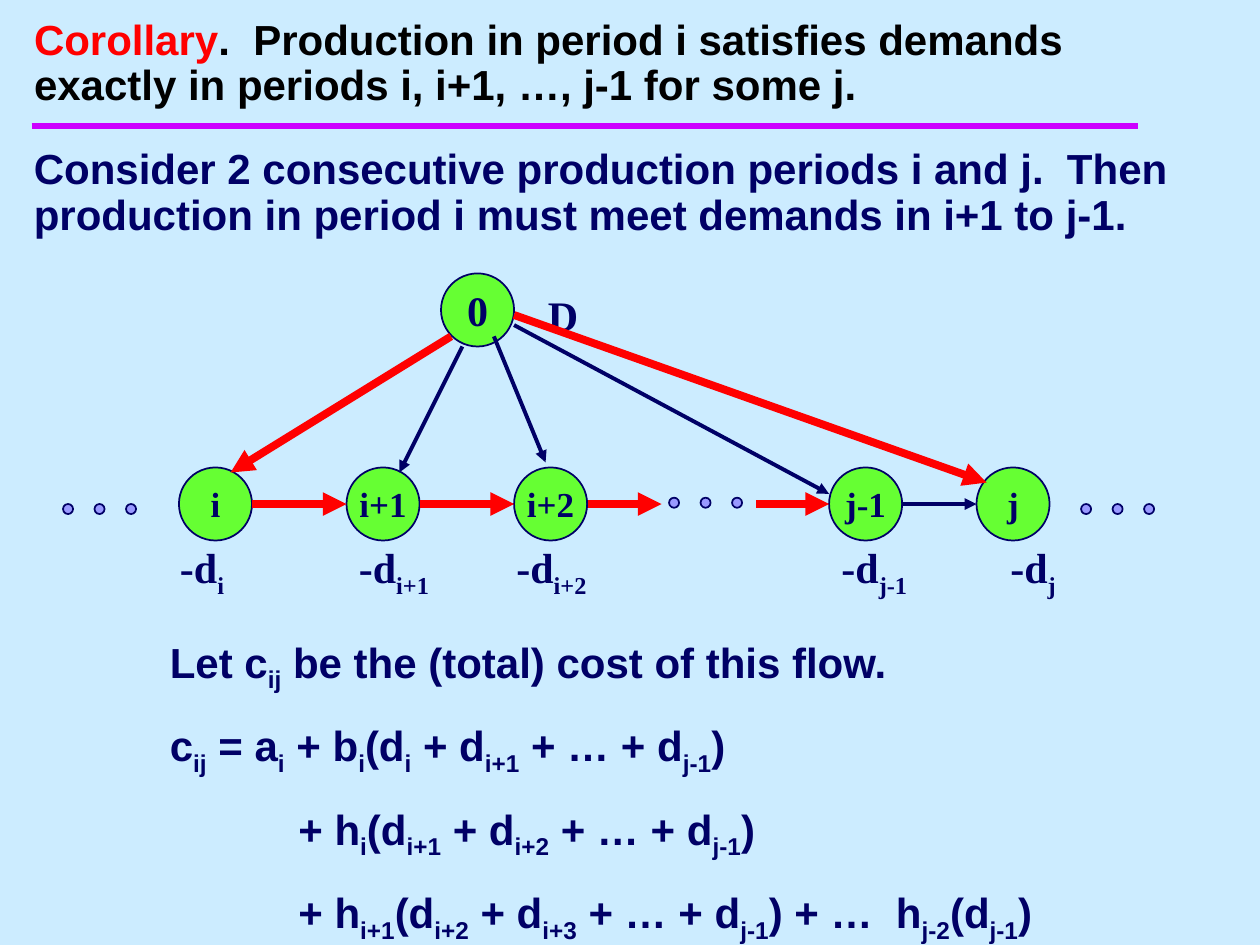
from dataclasses import dataclass

from lxml import etree
from pptx import Presentation
from pptx.dml.color import RGBColor
from pptx.enum import shapes, text
from pptx.oxml import ns
from pptx.util import Inches, Pt


@dataclass(frozen=True)
class Theme:
    background: str = "CCECFF"
    navy: str = "000066"
    red: str = "FF0000"
    black: str = "000000"
    rule: str = "CC00FF"
    node: str = "66FF33"
    dot: str = "9999FF"
    sans: str = "Arial"
    serif: str = "Times New Roman"
    body_size: int = 24
    node_size: int = 20
    thin: float = 2.25
    thick: float = 4.5


@dataclass(frozen=True)
class Node:
    label: str
    left: float
    top: float
    size: int


@dataclass(frozen=True)
class Arrow:
    start: tuple[float, float]
    end: tuple[float, float]
    highlighted: bool = False


@dataclass(frozen=True)
class Label:
    content: str
    left: float
    top: float
    width: float
    height: float


THEME = Theme()
NODE_DIAMETER = 0.58
DOT_DIAMETER = 0.08
DOT_STEP = 0.25
ROW_TOP = 3.71
ROW_MIDDLE = 4
DEMAND_TOP = 4.25
FORMULA_INDENT = 1.02

NODES = [
    Node("i", 1.42, ROW_TOP, THEME.node_size),
    Node("i+1", 2.75, ROW_TOP, THEME.node_size),
    Node("i+2", 4.08, ROW_TOP, THEME.node_size),
    Node("j-1", 6.58, ROW_TOP, THEME.node_size),
    Node("j", 7.75, ROW_TOP, THEME.node_size),
    Node("0", 3.5, 2.17, THEME.body_size),
]
HORIZONTAL_SPANS = [(2, 2.75), (3.33, 4.08), (4.67, 5.25), (6, 6.58)]
ARROWS = [
    Arrow((3.58, 2.67), (1.83, 3.75), True),
    Arrow((3.67, 2.75), (3.17, 3.75)),
    Arrow((3.92, 2.67), (4.33, 3.67)),
    Arrow((4.08, 2.58), (6.58, 3.92)),
    Arrow((4.08, 2.5), (7.83, 3.83), True),
    Arrow((7.17, ROW_MIDDLE), (7.75, ROW_MIDDLE)),
] + [Arrow((x1, ROW_MIDDLE), (x2, ROW_MIDDLE), True) for x1, x2 in HORIZONTAL_SPANS]
DEMANDS = [
    Label(f"-d|{index}|", left, DEMAND_TOP, width, 0.56)
    for index, left, width in [
        ("i", 1.33, 0.75), ("i+1", 2.75, 1.17), ("i+2", 4, 1.17),
        ("j-1", 6.58, 0.92), ("j", 7.92, 0.75),
    ]
]
DOT_GROUPS = [(5.31, 3.95), (0.5, 4), (8.58, 4)]
FORMULAS = [
    ("Let c|ij| be the (total) cost of this flow.", 0),
    ("c|ij| = a|i| + b|i|(d|i| + d|i+1| + … + d|j-1|)", 0),
    ("+ h|i|(d|i+1| + d|i+2| + … + d|j-1|)", FORMULA_INDENT),
    ("+ h|i+1|(d|i+2| + d|i+3| + … + d|j-1|) + …  h|j-2|(d|j-1|)", FORMULA_INDENT),
]


def add_run(paragraph, content: str, font_name: str, size: int,
            color: str = THEME.navy, subscript: bool = False) -> None:
    run = paragraph.add_run()
    run.text = content
    run.font.name = font_name
    run.font.size = Pt(size)
    run.font.bold = True
    run.font.color.rgb = RGBColor.from_string(color)
    if subscript:
        run.font._element.set("baseline", "-25000")


def add_subscripted(paragraph, content: str, font_name: str) -> None:
    for position, part in enumerate(content.split("|")):
        if part:
            add_run(paragraph, part, font_name, THEME.body_size, subscript=position % 2 == 1)


def add_text_frame(slide, left: float, top: float, width: float, height: float):
    box = slide.shapes.add_textbox(Inches(left), Inches(top), Inches(width), Inches(height))
    box.text_frame.word_wrap = True
    return box.text_frame


def add_circle(slide, left: float, top: float, diameter: float, fill: str):
    circle = slide.shapes.add_shape(
        shapes.MSO_SHAPE.OVAL, Inches(left), Inches(top), Inches(diameter), Inches(diameter))
    circle.shadow.inherit = False
    circle.fill.solid()
    circle.fill.fore_color.rgb = RGBColor.from_string(fill)
    circle.line.color.rgb = RGBColor.from_string(THEME.navy)
    circle.line.width = Pt(1)
    return circle


def add_node(slide, node: Node) -> None:
    frame = add_circle(slide, node.left, node.top, NODE_DIAMETER, THEME.node).text_frame
    frame.word_wrap = False
    frame.vertical_anchor = text.MSO_ANCHOR.MIDDLE
    paragraph = frame.paragraphs[0]
    paragraph.alignment = text.PP_ALIGN.CENTER
    add_run(paragraph, node.label, THEME.serif, node.size)


def add_line(slide, start: tuple[float, float], end: tuple[float, float],
             color: str, width: float, arrowhead: bool = False) -> None:
    connector = slide.shapes.add_connector(
        shapes.MSO_CONNECTOR.STRAIGHT, *(Inches(value) for value in (*start, *end)))
    connector.line.color.rgb = RGBColor.from_string(color)
    connector.line.width = Pt(width)
    if arrowhead:
        etree.SubElement(connector.get_or_add_ln(), ns.qn("a:tailEnd"), type="triangle")
    etree.SubElement(connector.element.spPr, ns.qn("a:effectLst"))


def add_arrow(slide, arrow: Arrow) -> None:
    color, width = (THEME.red, THEME.thick) if arrow.highlighted else (THEME.navy, THEME.thin)
    add_line(slide, arrow.start, arrow.end, color, width, arrowhead=True)


def add_label(slide, label: Label) -> None:
    frame = add_text_frame(slide, label.left, label.top, label.width, label.height)
    add_subscripted(frame.paragraphs[0], label.content, THEME.serif)


def fill_title(slide) -> None:
    title = slide.shapes.title
    title.left, title.top, title.width, title.height = map(Inches, (0.17, 0.1, 9.58, 0.82))
    frame = title.text_frame
    frame.word_wrap = True
    frame.auto_size = text.MSO_AUTO_SIZE.NONE
    frame.vertical_anchor = text.MSO_ANCHOR.TOP
    paragraph = frame.paragraphs[0]
    paragraph.alignment = text.PP_ALIGN.LEFT
    paragraph.line_spacing = 0.9
    add_run(paragraph, "Corollary", THEME.sans, THEME.body_size, THEME.red)
    add_run(paragraph, ".  Production in period i satisfies demands exactly in periods "
            "i, i+1, …, j-1 for some j.", THEME.sans, THEME.body_size, THEME.black)


def add_explanation(slide) -> None:
    paragraph = add_text_frame(slide, 0.17, 1.13, 9.58, 0.82).paragraphs[0]
    paragraph.line_spacing = 0.9
    add_run(paragraph, "Consider 2 consecutive production periods i and j.  Then production "
            "in period i must meet demands in i+1 to j-1.", THEME.sans, THEME.body_size)


def add_formulas(slide) -> None:
    frame = add_text_frame(slide, 1.25, 5, 7.67, 2.55)
    for position, (content, indent) in enumerate(FORMULAS):
        paragraph = frame.add_paragraph() if position else frame.paragraphs[0]
        if position:
            paragraph.space_before = Pt(15)
        if indent:
            paragraph._p.get_or_add_pPr().set("marL", str(Inches(indent)))
        add_subscripted(paragraph, content, THEME.sans)


def main() -> None:
    presentation = Presentation()
    presentation.slide_width, presentation.slide_height = Inches(10), Inches(7.5)
    slide = presentation.slides.add_slide(presentation.slide_layouts[5])
    slide.background.fill.solid()
    slide.background.fill.fore_color.rgb = RGBColor.from_string(THEME.background)
    fill_title(slide)
    add_line(slide, (0.25, 1), (9.03, 1), THEME.rule, 4)
    add_explanation(slide)
    add_label(slide, Label("D", 4.25, 2.25, 0.75, 0.5))
    for node in NODES:
        add_node(slide, node)
    for arrow in ARROWS:
        add_arrow(slide, arrow)
    for demand in DEMANDS:
        add_label(slide, demand)
    for left, top in DOT_GROUPS:
        for position in range(3):
            add_circle(slide, left + position * DOT_STEP, top, DOT_DIAMETER, THEME.dot)
    add_formulas(slide)
    presentation.save("out.pptx")


if __name__ == "__main__":
    main()
